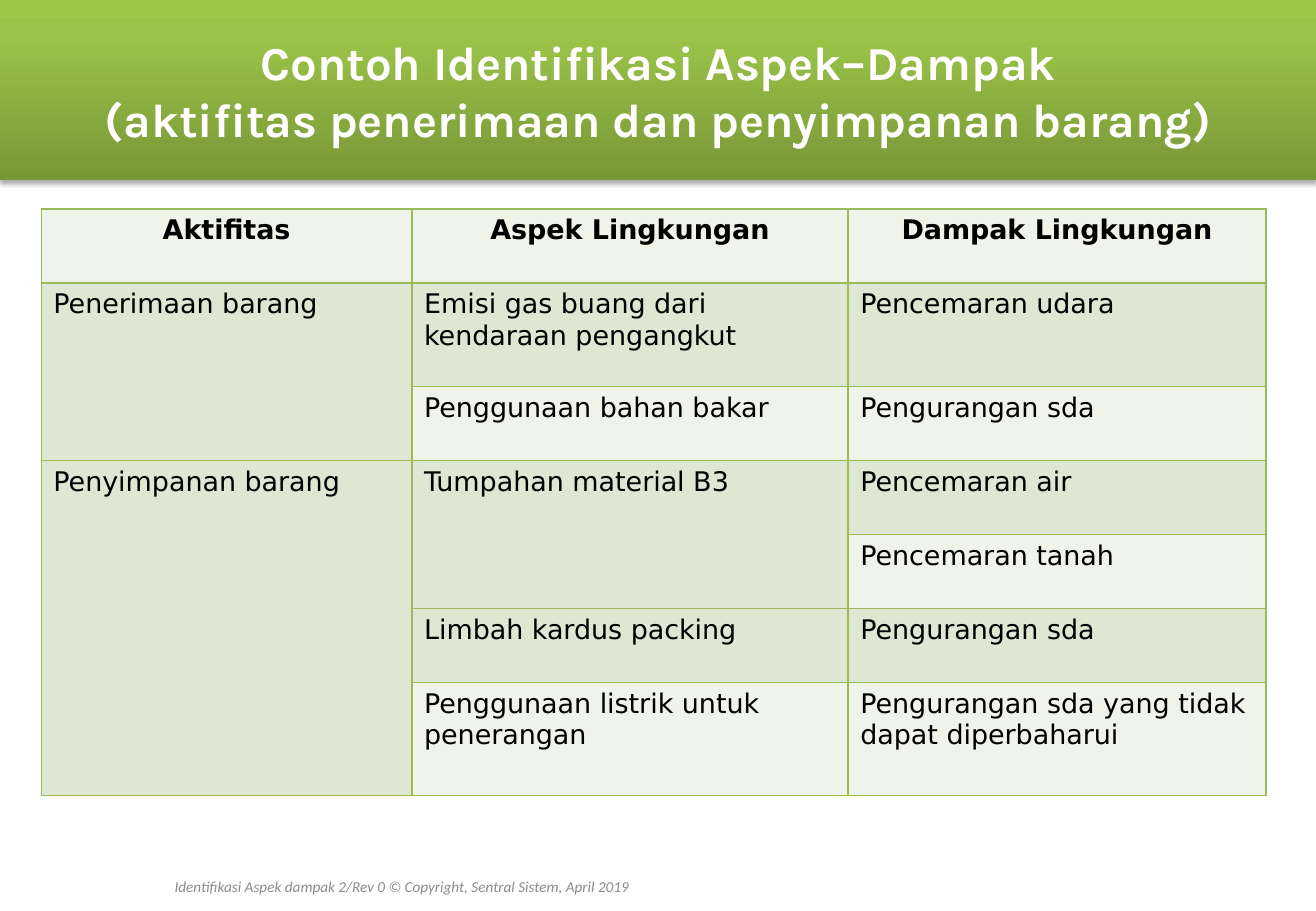
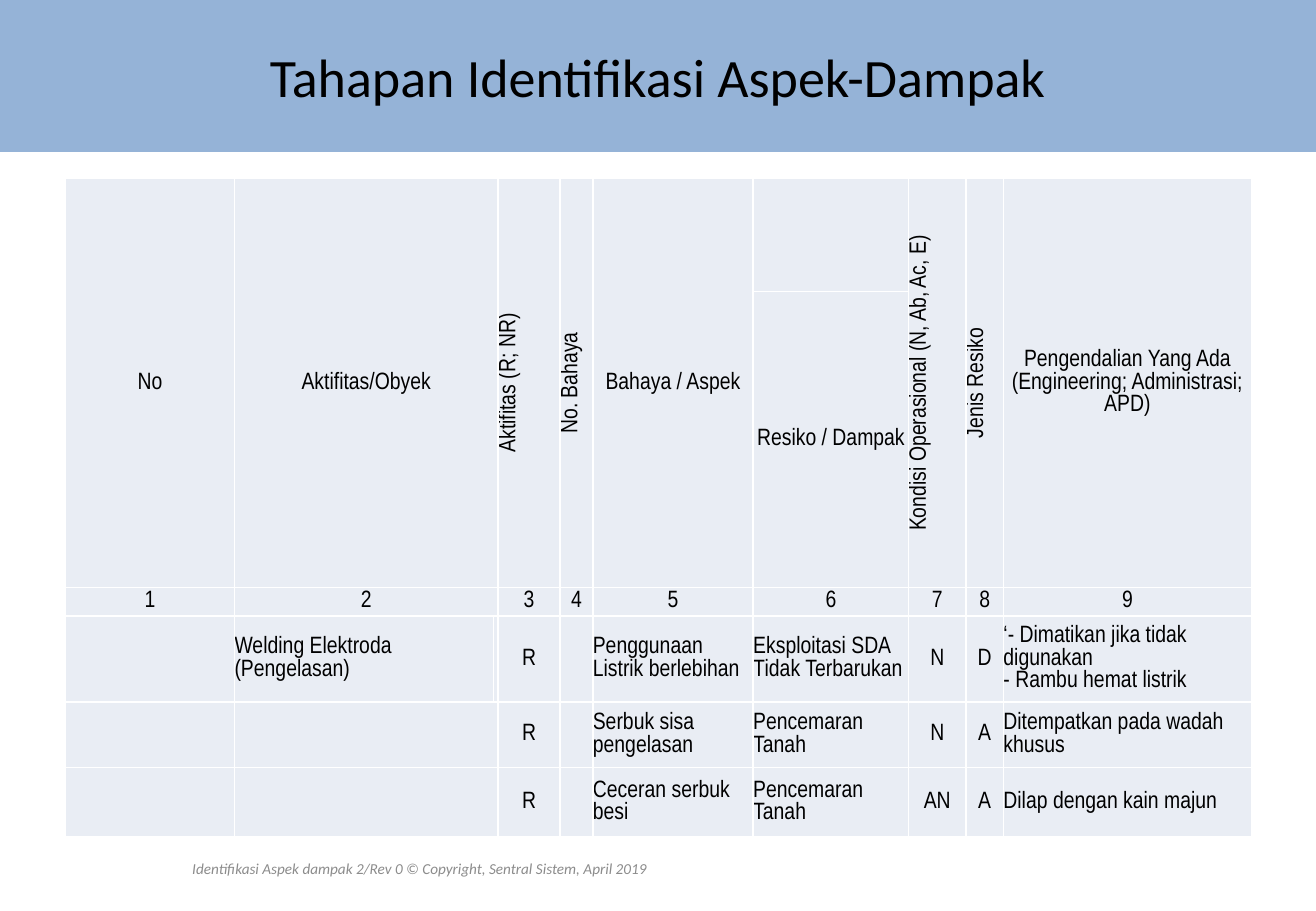
from copy import deepcopy
from dataclasses import dataclass

from lxml.etree import SubElement
from pptx import Presentation
from pptx.dml.color import RGBColor
from pptx.enum.shapes import MSO_SHAPE
from pptx.enum.text import MSO_ANCHOR, PP_ALIGN
from pptx.oxml.ns import qn
from pptx.util import Pt

PX = 9144  # EMU; 100 px to the inch
SLIDE_WIDTH, SLIDE_HEIGHT = 1083, 750

WHITE = RGBColor(0xFF, 0xFF, 0xFF)
BLACK = RGBColor(0x00, 0x00, 0x00)
FOOTER_GREY = RGBColor(0x8C, 0x8C, 0x8C)
BORDER_GREEN = RGBColor(0x9B, 0xBB, 0x59)
PALE_GREEN = RGBColor(0xEF, 0xF3, 0xEA)
SOFT_GREEN = RGBColor(0xDE, 0xE7, 0xD1)
BAND_BLUE = RGBColor(0x95, 0xB3, 0xD7)
PALE_BLUE = RGBColor(0xE9, 0xED, 0xF4)
BAND_GREENS = (
    (0, RGBColor(0x77, 0x97, 0x37)),
    (0.8, RGBColor(0x9B, 0xC3, 0x48)),
    (1, RGBColor(0x9D, 0xC7, 0x46)),
)

FOOTER = "Identifikasi Aspek dampak 2/Rev 0 © Copyright, Sentral Sistem, April 2019"


@dataclass
class TableStyle:
    font: str
    size: int
    border: RGBColor
    row_fills: tuple
    margin_x: int
    margin_y: int
    anchor: MSO_ANCHOR


GREEN_TABLE = TableStyle("DejaVu Sans", 16, BORDER_GREEN, (PALE_GREEN, SOFT_GREEN),
                         10, 5, MSO_ANCHOR.TOP)
BLUE_TABLE = TableStyle("Arial Narrow", 14, WHITE, (PALE_BLUE,),
                        0, 0, MSO_ANCHOR.MIDDLE)

ASPECT_ROWS = (
    ("Aktifitas", "Aspek Lingkungan", "Dampak Lingkungan"),
    ("Penerimaan barang", "Emisi gas buang dari kendaraan pengangkut", "Pencemaran udara"),
    ("", "Penggunaan bahan bakar", "Pengurangan sda"),
    ("Penyimpanan barang", "Tumpahan material B3", "Pencemaran air"),
    ("", "", "Pencemaran tanah"),
    ("", "Limbah kardus packing", "Pengurangan sda"),
    ("", "Penggunaan listrik untuk penerangan",
     "Pengurangan sda yang tidak dapat diperbaharui"),
)
ASPECT_SPANS = ((1, 0, 2, 1), (3, 0, 4, 1), (3, 1, 2, 1))

STAGE_ROWS = (
    ("No", "Aktifitas/Obyek", "", "Aktifitas (R; NR)", "No. Bahaya", "Bahaya / Aspek", "",
     "Kondisi Operasional (N, Ab, Ac, E)", "Jenis Resiko",
     "Pengendalian Yang Ada\v(Engineering; Administrasi; APD)"),
    ("", "", "", "", "", "", "Resiko / Dampak", "", "", ""),
    ("1", "2", "", "3", "4", "5", "6", "7", "8", "9"),
    ("", "Welding Elektroda (Pengelasan)", "", "R", "", "Penggunaan Listrik berlebihan",
     "Eksploitasi SDA Tidak Terbarukan", "N", "D",
     "‘- Dimatikan jika tidak digunakan\n- Rambu hemat listrik"),
    ("", "", "", "R", "", "Serbuk sisa pengelasan", "Pencemaran Tanah", "N", "A",
     "Ditempatkan pada wadah khusus"),
    ("", "", "", "R", "", "Ceceran serbuk besi", "Pencemaran Tanah", "AN", "A",
     "Dilap dengan kain majun"),
)
# The header cells are two rows tall, save Resiko / Dampak; column 1 takes in the sliver beside it.
STAGE_SPANS = (
    *((0, column, 2, 1) for column in (0, 3, 4, 5, 7, 8, 9)),
    (0, 1, 2, 2), (2, 1, 1, 2), (4, 1, 1, 2), (5, 1, 1, 2),
)
STAGE_HEADER_ROWS = 3
STAGE_VERTICAL_COLUMNS = (3, 4, 7, 8)
STAGE_PROSE_COLUMNS = (1, 5, 6, 9)


def emu(*lengths):
    return [length * PX for length in lengths]


def write(frame, text, font, size, color, align, bold=False, italic=False):
    frame.text = text
    for paragraph in frame.paragraphs:
        paragraph.alignment = align
        paragraph.font.name = font
        paragraph.font.size = Pt(size)
        paragraph.font.bold = bold
        paragraph.font.italic = italic
        paragraph.font.color.rgb = color


def add_title_band(slide, height, text, font, size, color, bold=False):
    band = slide.shapes.add_shape(MSO_SHAPE.RECTANGLE, *emu(0, 0, SLIDE_WIDTH, height))
    band.shadow.inherit = False
    band.line.fill.background()
    band.text_frame.word_wrap = True
    band.text_frame.vertical_anchor = MSO_ANCHOR.MIDDLE
    write(band.text_frame, text, font, size, color, PP_ALIGN.CENTER, bold)
    return band


def fill_with_gradient(band, stops):
    """Blend the stops from the bottom edge up."""
    band.fill.gradient()
    band.fill.gradient_angle = 90
    stop_list = next(band.element.spPr.iter(qn("a:gsLst")))
    while len(stop_list) < len(stops):
        stop_list.append(deepcopy(stop_list[-1]))
    for stop, (position, color) in zip(band.fill.gradient_stops, stops):
        stop.position = position
        stop.color.rgb = color


def add_drop_shadow(shape, blur, distance, opacity):
    effects = shape.element.spPr.find(qn("a:effectLst"))
    shadow = SubElement(effects, qn("a:outerShdw"), blurRad=str(Pt(blur)),
                        dist=str(Pt(distance)), dir="5400000", rotWithShape="0")
    black = SubElement(shadow, qn("a:srgbClr"), val=str(BLACK))
    SubElement(black, qn("a:alpha"), val=str(opacity * 1000))


def add_footer(slide, left, top, width):
    footer = slide.shapes.add_textbox(*emu(left, top, width, 40)).text_frame
    footer.word_wrap = True
    footer.vertical_anchor = MSO_ANCHOR.MIDDLE
    write(footer, FOOTER, "Calibri", 9, FOOTER_GREY, PP_ALIGN.CENTER, italic=True)


def draw_borders(cell, color):
    properties = cell._tc.get_or_add_tcPr()
    for side in ("a:lnL", "a:lnR", "a:lnT", "a:lnB"):
        line = SubElement(properties, qn(side), w=str(Pt(1)))
        SubElement(SubElement(line, qn("a:solidFill")), qn("a:srgbClr"), val=str(color))


def add_styled_table(slide, left, top, widths, heights, rows, spans, style, header_rows,
                     bold_header=False, centred_columns=()):
    table = slide.shapes.add_table(
        len(heights), len(widths), *emu(left, top, sum(widths), sum(heights))).table
    table.first_row = table.horz_banding = False
    for column, width in zip(table.columns, widths):
        column.width = width * PX
    for row, height in zip(table.rows, heights):
        row.height = height * PX

    for r, texts in enumerate(rows):
        is_header = r < header_rows
        for c, text in enumerate(texts):
            cell = table.cell(r, c)
            draw_borders(cell, style.border)
            cell.fill.solid()
            cell.fill.fore_color.rgb = style.row_fills[r % len(style.row_fills)]
            cell.margin_left = cell.margin_right = style.margin_x * PX
            cell.margin_top = cell.margin_bottom = style.margin_y * PX
            cell.vertical_anchor = style.anchor
            centred = is_header or c in centred_columns
            write(cell.text_frame, text, style.font, style.size, BLACK,
                  PP_ALIGN.CENTER if centred else PP_ALIGN.LEFT, is_header and bold_header)

    for r, c, height, width in spans:
        table.cell(r, c).merge(table.cell(r + height - 1, c + width - 1))
    return table


def build_aspect_slide(slide):
    add_footer(slide, 10, 710, 641)
    add_styled_table(slide, 34, 172, (305, 359, 344), (61, 85, 61, 61, 61, 61, 93),
                     ASPECT_ROWS, ASPECT_SPANS, GREEN_TABLE, header_rows=1, bold_header=True)
    band = add_title_band(
        slide, 148,
        "Contoh Identifikasi Aspek–Dampak\n(aktifitas penerimaan dan penyimpanan barang)",
        "Karla", 28, WHITE, bold=True)
    fill_with_gradient(band, BAND_GREENS)
    add_drop_shadow(band, blur=3.1, distance=1.8, opacity=35)


def build_stage_slide(slide):
    band = add_title_band(slide, 125, "Tahapan Identifikasi Aspek-Dampak", "Calibri", 32, BLACK)
    band.fill.solid()
    band.fill.fore_color.rgb = BAND_BLUE
    add_footer(slide, 39, 695, 612)
    widths = (139, 213, 3, 51, 27, 132, 128, 47, 31, 204)
    centred = [c for c in range(len(widths)) if c not in STAGE_PROSE_COLUMNS]
    table = add_styled_table(slide, 54, 147, widths, (93, 198, 16, 71, 54, 57),
                             STAGE_ROWS, STAGE_SPANS, BLUE_TABLE, STAGE_HEADER_ROWS,
                             centred_columns=centred)
    for column in STAGE_VERTICAL_COLUMNS:
        table.cell(0, column)._tc.get_or_add_tcPr().set("vert", "vert270")


def main():
    presentation = Presentation()
    presentation.slide_width, presentation.slide_height = emu(SLIDE_WIDTH, SLIDE_HEIGHT)
    blank = presentation.slide_layouts[6]
    for build in (build_aspect_slide, build_stage_slide):
        build(presentation.slides.add_slide(blank))
    presentation.save("out.pptx")


if __name__ == "__main__":
    main()
